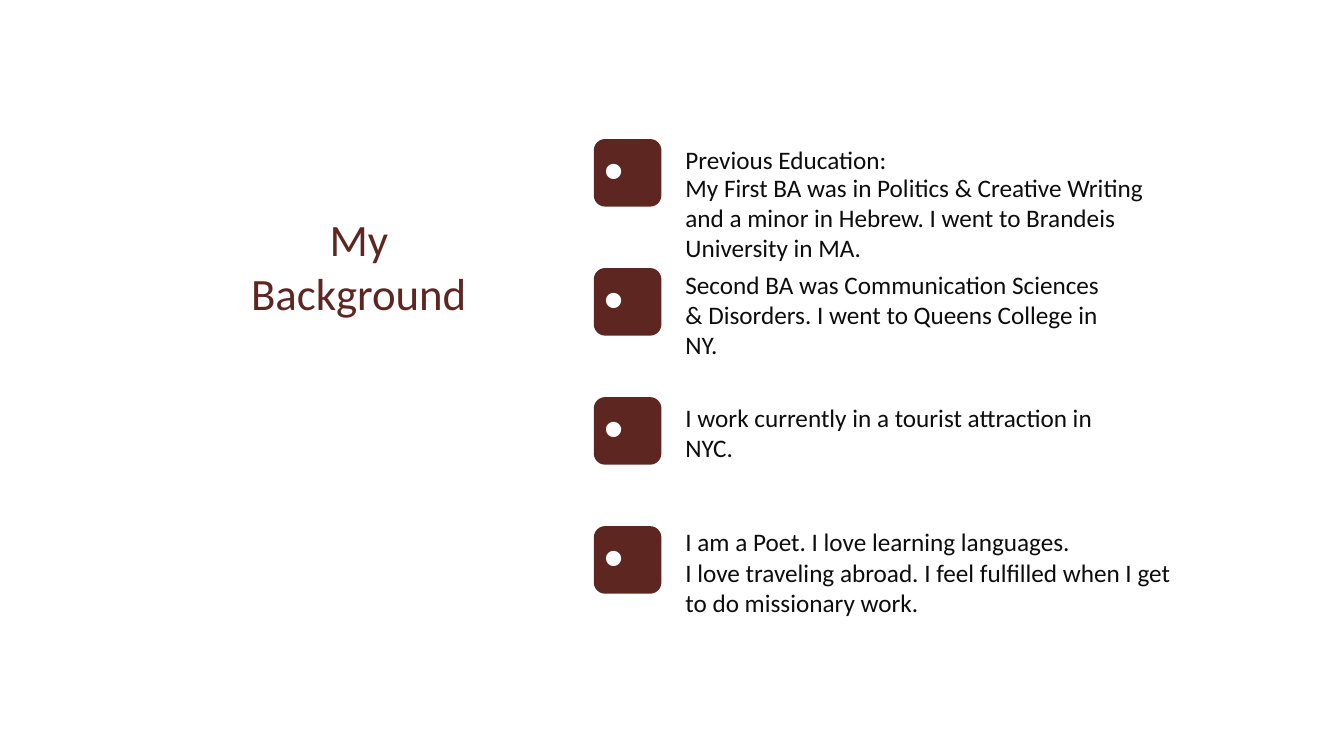
import pptx
import pptx.dml.color
import pptx.enum.shapes
import pptx.enum.text
import pptx.oxml
import pptx.oxml.ns
import pptx.util

COLORS = {"brown": "5E2620", "ink": "0D0D0D", "white": "FFFFFF"}
FONT = "Calibri"
IN = pptx.util.Inches

# Grid: one row per topic, a tile column and a text column
ROW_TOP, ROW_STEP = 1.38, 1.28
TILE_LEFT, TILE_SIZE = 5.89, 0.67
TEXT_LEFT, NARROW, WIDE = 6.7, 4.46, 5.03

# Row, offset from the row's top, width, height, paragraphs
NOTES = [
    (0, 0, NARROW, 0.4, ["Previous Education:"]),
    (0, 0.28, WIDE, 1.01, [
        "My First BA was in Politics & Creative Writing",
        "and a minor in Hebrew. I went to Brandeis University in MA."]),
    (1, -0.04, NARROW, 1.01, [
        "Second BA was Communication Sciences & Disorders. "
        "I went to Queens College in NY."]),
    (2, 0, NARROW, 0.71, ["I work currently in a tourist attraction in NYC."]),
    (3, -0.05, NARROW, 0.4, ["I am a Poet. I love learning languages."]),
    (3, 0.26, WIDE, 0.71, [
        "I love traveling abroad. I feel fulfilled when I get "
        "to do missionary work."]),
]


def rgb(name):
    return pptx.dml.color.RGBColor.from_string(COLORS[name])


def row_top(row):
    return ROW_TOP + row * ROW_STEP


def write(sp, paragraphs, size=18, color="ink", align="LEFT", italic=False):
    """Fill a shape's text frame with equally formatted paragraphs."""
    tf = sp.text_frame
    tf.word_wrap = True
    tf.auto_size = pptx.enum.text.MSO_AUTO_SIZE.SHAPE_TO_FIT_TEXT
    tf.vertical_anchor = pptx.enum.text.MSO_ANCHOR.TOP
    for i, text in enumerate(paragraphs):
        p = tf.paragraphs[0] if i == 0 else tf.add_paragraph()
        p.alignment = getattr(pptx.enum.text.PP_ALIGN, align)
        r = p.add_run()
        r.text = text
        r.font.name = FONT
        r.font.size = pptx.util.Pt(size)
        r.font.italic = italic
        r.font.color.rgb = rgb(color)


def add_text(s, left, top, width, height, paragraphs, **fmt):
    sp = s.shapes.add_textbox(IN(left), IN(top), IN(width), IN(height))
    write(sp, paragraphs, **fmt)
    return sp


def add_title(s, text):
    sp = s.shapes.title
    sp.left, sp.top, sp.width, sp.height = map(IN, (2.18, 2.05, 2.76, 1.18))
    write(sp, [text], size=32, color="brown", align="CENTER")


def add_tile(s, row):
    sp = s.shapes.add_shape(
        pptx.enum.shapes.MSO_SHAPE.ROUNDED_RECTANGLE,
        IN(TILE_LEFT), IN(row_top(row)), IN(TILE_SIZE), IN(TILE_SIZE))
    sp.shadow.inherit = False
    sp.fill.solid()
    sp.fill.fore_color.rgb = rgb("brown")
    sp.line.fill.background()


def add_bullet(s, row):
    sp = add_text(s, TILE_LEFT, row_top(row) - 0.06, 0.53, 0.77, ["."],
                  size=40, color="white", italic=True)
    pPr = sp.text_frame.paragraphs[0]._p.get_or_add_pPr()
    pPr.set("marL", str(IN(0.62)))
    pPr.set("indent", str(-IN(0.62)))
    for tag, key, value in (("buFont", "typeface", "Arial"),
                            ("buChar", "char", "•")):
        bullet = pptx.oxml.parse_xml(
            f'<a:{tag} {pptx.oxml.ns.nsdecls("a")} {key}="{value}"/>')
        pPr.append(bullet)


def main():
    prs = pptx.Presentation()
    prs.slide_width, prs.slide_height = IN(13.33), IN(7.5)
    s = prs.slides.add_slide(prs.slide_layouts[5])

    # Heading on the left
    add_title(s, "My Background")

    # Tiles with their bullets
    for row in range(4):
        add_tile(s, row)
        add_bullet(s, row)

    # Notes beside the tiles
    for row, offset, width, height, paragraphs in NOTES:
        add_text(s, TEXT_LEFT, row_top(row) + offset, width, height, paragraphs)

    prs.save("out.pptx")


if __name__ == "__main__":
    main()
